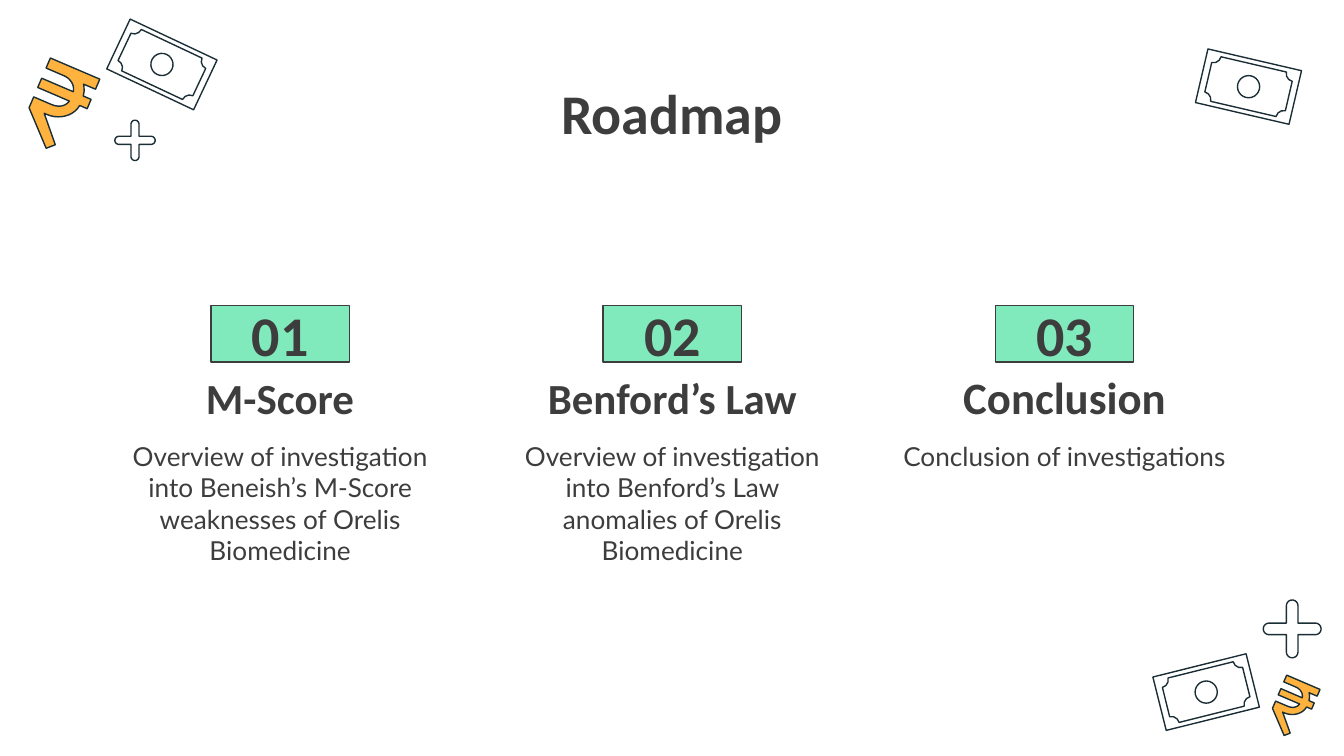
"""Build the Roadmap slide: three numbered sections framed by money doodles."""
from math import cos, pi, sin
from typing import NamedTuple

from pptx import Presentation
from pptx.dml.color import RGBColor
from pptx.enum import shapes, text
from pptx.util import Emu, Inches, Pt

COLUMNS, ROWS = 100, 56.25
CELL = Inches(0.1)
FIRST_CENTRE, CENTRE_STEP = 20.85, 29.18

CHARCOAL = RGBColor(0x3D, 0x3D, 0x3D)
INK = RGBColor(0x1A, 0x2E, 0x35)
MINT = RGBColor(0x81, 0xEA, 0xBC)
AMBER = RGBColor(0xFF, 0xB2, 0x3E)

RUPEE_OUTLINE = [
    (0, 0), (0, 0.13), (0.36, 0.13), (0.5, 0.13, 0.61, 0.18, 0.64, 0.26),
    (0, 0.26), (0, 0.38), (0.64, 0.38), (0.61, 0.46, 0.5, 0.5, 0.36, 0.5),
    (0, 0.5), (0, 0.64), (0.59, 1), (0.72, 0.92), (0.3, 0.63), (0.36, 0.63),
    (0.59, 0.63, 0.82, 0.53, 0.85, 0.38), (1, 0.38), (1, 0.26), (0.84, 0.26),
    (0.83, 0.21, 0.8, 0.17, 0.76, 0.13), (1, 0.13), (1, 0),
]


class Section(NamedTuple):
    number: str
    heading: str
    overview: str
    heading_size: int
    heading_width: float


class Banknote(NamedTuple):
    x: float
    y: float
    angle: float


class Plus(NamedTuple):
    x: float
    y: float
    reach: float


class Rupee(NamedTuple):
    x: float
    y: float
    width: float
    height: float


SECTIONS = [
    Section("01", "M-Score", "Overview of investigation into Beneish’s M-Score "
            "weaknesses of Orelis Biomedicine", 23, 32.6),
    Section("02", "Benford’s Law", "Overview of investigation into Benford’s Law "
            "anomalies of Orelis Biomedicine", 23, 30.5),
    Section("03", "Conclusion", "Conclusion of investigations", 24, 26.3),
]
BANKNOTES = [Banknote(12.05, 4.8, 25.2), Banknote(92.9, 6.45, 13.1),
             Banknote(89.75, 51.5, -14)]
PLUSES = [Plus(10.05, 10.45, 1.5), Plus(96.15, 46.8, 2.15)]
RUPEES = [Rupee(4.35, 8, 4, 6.3), Rupee(96.15, 52.7, 2.7, 4.2)]


def grid(cells: float) -> Emu:
    """Turn grid cells into a length."""
    return Emu(round(cells * CELL))


def paint(shape, fill: RGBColor | None, line: RGBColor) -> None:
    """Give a shape its fill and thin outline, without shadow."""
    shape.shadow.inherit = False
    if fill is None:
        shape.fill.background()
    else:
        shape.fill.solid()
        shape.fill.fore_color.rgb = fill
    shape.line.color.rgb = line
    shape.line.width = Pt(0.75)


def centred(slide, kind, x: float, y: float, width: float, height: float,
            fill: RGBColor | None = None, line: RGBColor = INK, angle: float = 0):
    """Add a preset shape around a centre point."""
    shape = slide.shapes.add_shape(kind, grid(x - width / 2), grid(y - height / 2),
                                   grid(width), grid(height))
    paint(shape, fill, line)
    shape.rotation = angle
    return shape


def write(shape, words: str, *, size: float, font: str = "Calibri", bold: bool = True,
          anchor=text.MSO_ANCHOR.TOP) -> None:
    """Write centred text into a shape or text box."""
    frame = shape.text_frame
    frame.word_wrap = True
    frame.vertical_anchor = anchor
    frame.margin_left = frame.margin_right = CELL
    frame.margin_top = frame.margin_bottom = CELL
    paragraph = frame.paragraphs[0]
    paragraph.alignment = text.PP_ALIGN.CENTER
    run = paragraph.add_run()
    run.text = words
    run.font.name, run.font.size, run.font.bold = font, Pt(size), bold
    run.font.color.rgb = CHARCOAL


def text_box(slide, x: float, top: float, width: float, height: float):
    """Add a text box centred on a column."""
    return slide.shapes.add_textbox(grid(x - width / 2), grid(top), grid(width), grid(height))


def draw_outline(slide, points: list[tuple[float, float]], fill: RGBColor | None = None):
    """Draw a closed outline through grid points."""
    start, *others = [(grid(x), grid(y)) for x, y in points]
    builder = slide.shapes.build_freeform(*start, scale=1.0)
    builder.add_line_segments(others, close=True)
    shape = builder.convert_to_shape()
    paint(shape, fill, INK)
    return shape


def flatten(outline: list[tuple[float, ...]], steps: int = 10) -> list[tuple[float, float]]:
    """Turn corners and cubic curves into a list of points."""
    points = []
    for part in outline:
        if len(part) == 2:
            points.append(part)
            continue
        (x0, y0), (x1, y1, x2, y2, x3, y3) = points[-1], part
        for step in range(1, steps + 1):
            t = step / steps
            a, b, c, d = (1 - t) ** 3, 3 * t * (1 - t) ** 2, 3 * t * t * (1 - t), t ** 3
            points.append((a * x0 + b * x1 + c * x2 + d * x3,
                           a * y0 + b * y1 + c * y2 + d * y3))
    return points


def draw_banknote(slide, note: Banknote) -> None:
    """Draw a tilted banknote with a notched frame and a round seal."""
    preset = shapes.MSO_SHAPE
    centred(slide, preset.RECTANGLE, note.x, note.y, 7.15, 4.1, angle=note.angle)
    frame = centred(slide, preset.PLAQUE, note.x, note.y, 6.15, 3.4, angle=note.angle)
    frame.adjustments[0] = 0.17
    centred(slide, preset.OVAL, note.x, note.y, 1.65, 1.65, angle=note.angle)


def draw_plus(slide, plus: Plus, steps: int = 12) -> None:
    """Draw a hollow plus sign with rounded arms."""
    half = plus.reach / 5
    points = []
    for arm in range(4):
        turn = arm * pi / 2
        tip = [(plus.reach - half + half * cos(a), half * sin(a))
               for a in (-pi / 2 + pi * step / steps for step in range(steps + 1))]
        for x, y in [(half, -half), *tip]:
            points.append((plus.x + x * cos(turn) - y * sin(turn),
                           plus.y + x * sin(turn) + y * cos(turn)))
    draw_outline(slide, points)


def draw_rupee(slide, rupee: Rupee) -> None:
    """Draw a tilted rupee sign."""
    points = [(rupee.x + (x - 0.5) * rupee.width, rupee.y + (y - 0.5) * rupee.height)
              for x, y in flatten(RUPEE_OUTLINE)]
    draw_outline(slide, points, AMBER).rotation = 23.2


def draw_section(slide, section: Section, x: float) -> None:
    """Draw a numbered tag with its heading and overview."""
    tag = centred(slide, shapes.MSO_SHAPE.RECTANGLE, x, 24.85, 10.3, 4.2, MINT, CHARCOAL)
    write(tag, section.number, size=30, anchor=text.MSO_ANCHOR.MIDDLE)
    write(text_box(slide, x, 28.3, section.heading_width, 4.2), section.heading,
          size=section.heading_size, anchor=text.MSO_ANCHOR.BOTTOM)
    write(text_box(slide, x, 31.77, 26.3, 5.3), section.overview,
          size=14, font="Lato", bold=False)


def main() -> None:
    """Build and save the slide."""
    deck = Presentation()
    deck.slide_width, deck.slide_height = grid(COLUMNS), grid(ROWS)
    slide = deck.slides.add_slide(deck.slide_layouts[6])
    for note in BANKNOTES:
        draw_banknote(slide, note)
    for rupee in RUPEES:
        draw_rupee(slide, rupee)
    for plus in PLUSES:
        draw_plus(slide, plus)
    write(text_box(slide, COLUMNS / 2, 4.85, 84.3, 6.3), "Roadmap", size=30)
    for index, section in enumerate(SECTIONS):
        draw_section(slide, section, FIRST_CENTRE + index * CENTRE_STEP)
    deck.save("out.pptx")


if __name__ == "__main__":
    main()
